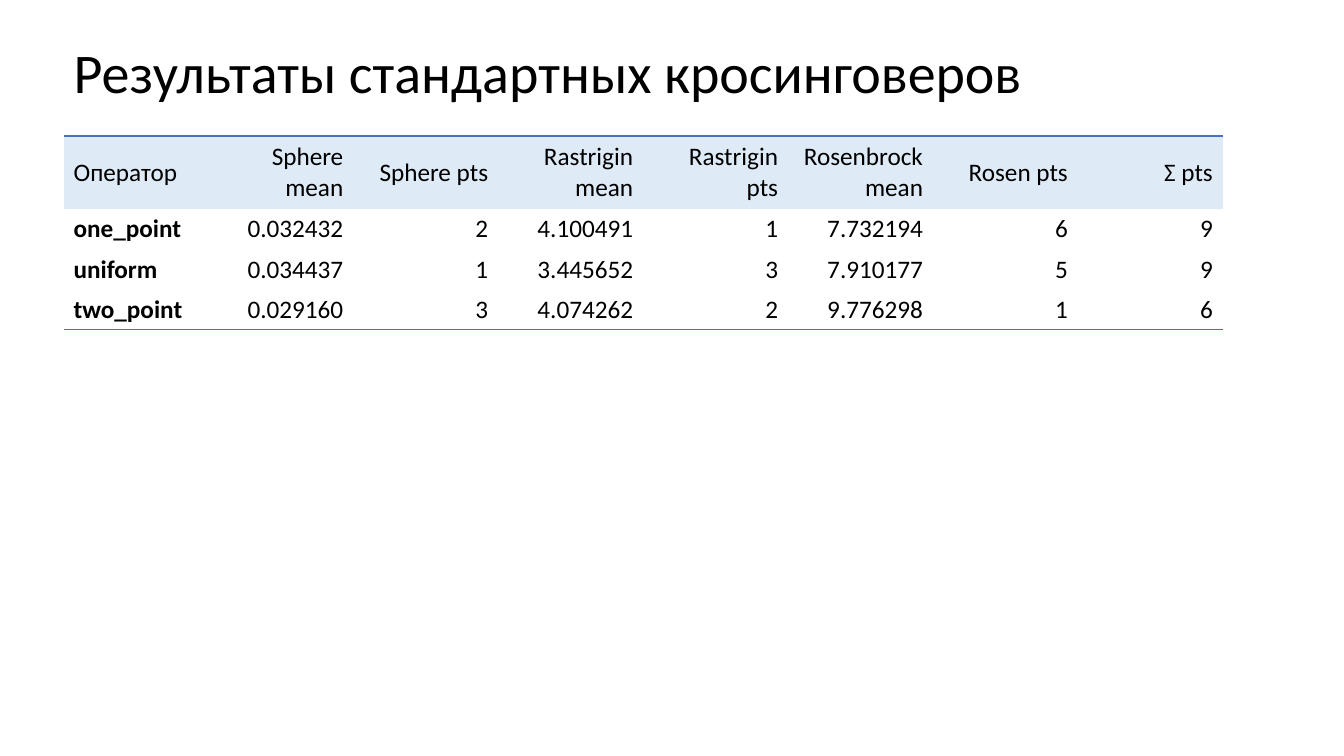
from lxml.etree import SubElement
from pptx import Presentation
from pptx.dml.color import RGBColor
from pptx.enum.text import MSO_ANCHOR, MSO_AUTO_SIZE, PP_ALIGN
from pptx.oxml.ns import qn
from pptx.util import Inches, Pt


def rgb(value):
    return RGBColor.from_string(value)


def add_border(cell, side, color):
    line = SubElement(cell._tc.get_or_add_tcPr(), qn(f"a:{side}"), w=str(Pt(1)))
    fill = SubElement(line, qn("a:solidFill"))
    SubElement(fill, qn("a:srgbClr"), val=color)


results = [
    ["Оператор", "Sphere mean", "Sphere pts", "Rastrigin mean",
     "Rastrigin pts", "Rosenbrock mean", "Rosen pts", "Σ pts"],
    ["one_point", "0.032432", "2", "4.100491", "1", "7.732194", "6", "9"],
    ["uniform", "0.034437", "1", "3.445652", "3", "7.910177", "5", "9"],
    ["two_point", "0.029160", "3", "4.074262", "2", "9.776298", "1", "6"],
]
row_heights = [0.72, 0.4, 0.4, 0.4]

presentation = Presentation()
presentation.slide_width = Inches(13.33)
presentation.slide_height = Inches(7.5)
slide = presentation.slides.add_slide(presentation.slide_layouts[5])

title = slide.shapes.title
title.left, title.top = Inches(0.63), Inches(0.32)
title.width, title.height = Inches(9.7), Inches(0.77)
title.text_frame.text = "Результаты стандартных кросинговеров"
title.text_frame.word_wrap = False
title.text_frame.auto_size = MSO_AUTO_SIZE.SHAPE_TO_FIT_TEXT
heading = title.text_frame.paragraphs[0]
heading.alignment = PP_ALIGN.LEFT
heading.font.name = "Calibri"
heading.font.size = Pt(40)
heading.font.color.rgb = rgb("000000")

table = slide.shapes.add_table(
    len(results), len(results[0]),
    Inches(0.63), Inches(1.35), Inches(11.5), Inches(sum(row_heights)),
).table
table.horz_banding = False
table._tbl.tblPr.find(qn("a:tableStyleId")).text = "{2D5ABB26-0587-4C30-8999-92F81FD0307C}"

for row, (values, height) in enumerate(zip(results, row_heights)):
    table.rows[row].height = Inches(height)
    for column, value in enumerate(values):
        cell = table.cell(row, column)
        cell.text = value
        cell.vertical_anchor = MSO_ANCHOR.MIDDLE
        paragraph = cell.text_frame.paragraphs[0]
        paragraph.alignment = PP_ALIGN.RIGHT if column else PP_ALIGN.LEFT
        paragraph.font.name = "Calibri"
        paragraph.font.size = Pt(18)
        paragraph.font.bold = row > 0 and column == 0
        paragraph.font.color.rgb = rgb("000000")
        if row == 0:
            add_border(cell, "lnT", "4472C4")
            cell.fill.solid()
            cell.fill.fore_color.rgb = rgb("DEEBF7")
        else:
            if row == len(results) - 1:
                add_border(cell, "lnB", "4472C4")
            cell.fill.background()

presentation.save("out.pptx")
